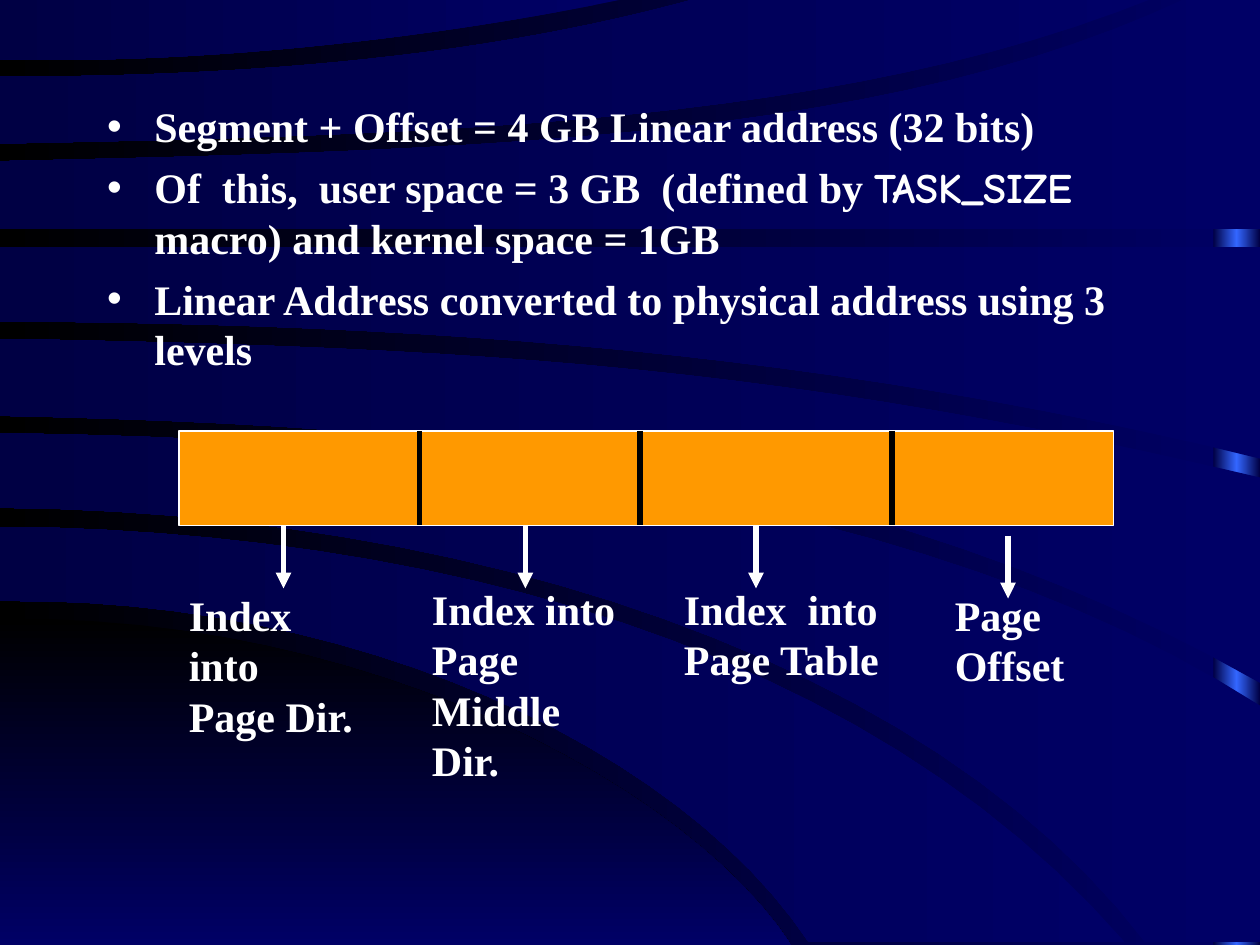
"""Builds the slide on splitting a linear address into page table indexes."""
import copy

from lxml import etree
from pptx import Presentation
from pptx import util as u
from pptx.dml.color import RGBColor
from pptx.enum import shapes, text
from pptx.oxml.ns import qn

WHITE, BLACK, ORANGE = "FFFFFF", "000000", "FF9900"
NAVY, DEEP_NAVY, GLOW = "000066", "000044", "3366FF"
SERIF, CODE_FONT = "Times New Roman", "Comic Neue"

CORNER = ([(0, 4.91), (2.76, 5.29), (4.95, 6.27), (6.28, 7.5)], [(0, 7.5)])
BANDS = [
    ([(0, 4.18), (3.35, 4.52), (6.44, 5.57), (8.93, 7.48)],
     [(0, 4.77), (2.68, 5.11), (4.92, 6.08), (6.42, 7.48)]),
    ([(0, 3.44), (3.43, 3.63), (6.93, 4.28), (10, 5.6)],
     [(0, 4.03), (3.6, 4.43), (6.78, 5.58), (9.09, 7.48)], (10, 7.48)),
    ([(0, 2.69), (3.49, 2.81), (6.62, 3.13), (10, 3.79)],
     [(0, 3.3), (3.51, 3.49), (6.83, 4.1), (10, 5.42)]),
    ([(0, 1.96), (10, 1.96)],
     [(0, 2.55), (3.32, 2.65), (6.62, 2.98), (10, 3.64)]),
    ([(0, 1.28), (3.72, 1.15), (6.84, 0.79), (9.43, -0.02)],
     [(0, 1.82), (10, 1.82)], (10, -0.02)),
    ([(0, 0.61), (1.97, 0.55), (3.83, 0.35), (5.56, -0.02)],
     [(0, 1.14), (3.41, 1.03), (6.48, 0.71), (9.17, -0.02)]),
    ([(0, -0.02)],
     [(0, 0.47), (1.73, 0.43), (3.46, 0.25), (5.01, -0.02)]),
]
STEPS = 24

BULLETS = [
    [("Segment + Offset = 4 GB Linear address (32 bits)", SERIF)],
    [("Of  this,  user space = 3 GB  (defined by ", SERIF), ("TASK_SIZE", CODE_FONT),
     (" macro) and kernel space = 1GB", SERIF)],
    [("Linear Address converted to physical address using 3 levels", SERIF)],
]
BAR_TOP, BAR_HEIGHT = 3.42, 0.75
BAR_BOTTOM = BAR_TOP + BAR_HEIGHT
DIVIDERS = [3.33, 5.08, 7.08]
ARROW_LENGTH = 0.5
FIELDS = [
    (2.25, BAR_BOTTOM, (1.4, 4.63, 1.65, 0.9), ["Index into", "Page Dir."]),
    (4.17, BAR_BOTTOM, (3.33, 4.58, 1.98, 1.3), ["Index into", "Page Middle", "Dir."]),
    (6, BAR_BOTTOM, (5.33, 4.58, 1.78, 0.9), ["Index  into", "Page Table"]),
    (8, 4.25, (7.48, 4.63, 1.07, 0.9), ["Page", "Offset"]),
]


def rgb(value):
    """Turn a hex string into a colour."""
    return RGBColor.from_string(value)


def inches(*lengths):
    """Turn numbers into lengths in inches."""
    return [u.Inches(length) for length in lengths]


def trace(edge):
    """Run a smooth polynomial curve through the points of an edge."""
    last = len(edge) - 1
    curve = []
    for step in range(STEPS + 1):
        t = last * step / STEPS
        x = y = 0
        for i, point in enumerate(edge):
            weight = 1
            for j in range(len(edge)):
                if j != i:
                    weight *= (t - j) / (i - j)
            x += weight * point[0]
            y += weight * point[1]
        curve.append((x, y))
    return curve


def fill_gradient(fill, *colors, angle=180):
    """Fill with evenly spaced colours along a counter-clockwise angle."""
    fill.gradient()
    fill.gradient_angle = angle
    first = fill.gradient_stops[0]._gs
    for _ in colors[2:]:
        first.addnext(copy.deepcopy(first))
    for index, (stop, color) in enumerate(zip(fill.gradient_stops, colors)):
        stop.color.rgb = rgb(color)
        stop.position = index / (len(colors) - 1)


def add_rectangle(slide, *box):
    """Add a rectangle without shadow or outline."""
    rectangle = slide.shapes.add_shape(shapes.MSO_SHAPE.RECTANGLE, *inches(*box))
    rectangle.shadow.inherit = False
    rectangle.line.fill.background()
    return rectangle


def add_band(slide, upper, lower, *corners, colors=(NAVY, DEEP_NAVY), angle=180):
    """Add a gradient band between two curved edges."""
    outline = trace(upper) + list(corners) + trace(lower)[::-1]
    start, *rest = [inches(*point) for point in outline]
    builder = slide.shapes.build_freeform(*start)
    builder.add_line_segments(rest, close=True)
    band = builder.convert_to_shape()
    band.shadow.inherit = False
    band.line.fill.background()
    fill_gradient(band.fill, *colors, angle=angle)


def add_vertical(slide, x, top, length, color, arrow=False):
    """Add a vertical line, with an arrowhead at its foot if asked."""
    line = slide.shapes.add_connector(
        shapes.MSO_CONNECTOR.STRAIGHT, *inches(x, top, x, top + length))
    line.line.color.rgb = rgb(color)
    line.line.width = u.Pt(3)
    if arrow:
        etree.SubElement(line.line._get_or_add_ln(), qn("a:tailEnd"), type="triangle")
    etree.SubElement(line.element.spPr, qn("a:effectLst"))


def add_text(paragraph, content, font=SERIF, size=24, color=WHITE, bold=True):
    """Add a formatted run to a paragraph."""
    run = paragraph.add_run()
    run.text = content
    run.font.name = font
    run.font.size = u.Pt(size)
    run.font.bold = bold
    run.font.color.rgb = rgb(color)


def paragraphs(frame, count):
    """Give the frame's first paragraph followed by new ones."""
    return [frame.paragraphs[0]] + [frame.add_paragraph() for _ in range(count - 1)]


def add_label(slide, box, lines):
    """Add a label that holds one paragraph for each line."""
    frame = slide.shapes.add_textbox(*inches(*box)).text_frame
    frame.word_wrap = False
    frame.auto_size = text.MSO_AUTO_SIZE.SHAPE_TO_FIT_TEXT
    for paragraph, line in zip(paragraphs(frame, len(lines)), lines):
        add_text(paragraph, line)


def add_backdrop(slide):
    """Paint the background with its curved bands."""
    fill_gradient(slide.background.fill, NAVY, BLACK)
    side = add_rectangle(slide, 9.63, 0, 0.37, 7.5)
    fill_gradient(side.fill, DEEP_NAVY, GLOW, DEEP_NAVY)
    add_band(slide, *CORNER, colors=(BLACK, NAVY), angle=270)
    for band in BANDS:
        add_band(slide, *band)


def place_bullets(slide):
    """Fill the body placeholder and bring it in front of the backdrop."""
    body = slide.placeholders[1]
    body.left, body.top, body.width, body.height = inches(0.75, 0.75, 8.5, 5.92)
    body.element.getparent().append(body.element)
    frame = body.text_frame
    frame.auto_size = text.MSO_AUTO_SIZE.NONE
    frame.vertical_anchor = text.MSO_ANCHOR.TOP
    for index, paragraph in enumerate(paragraphs(frame, len(BULLETS))):
        paragraph.space_before = u.Pt(6 if index else 0)
        for content, font in BULLETS[index]:
            add_text(paragraph, content, font=font)


def add_address_bar(slide):
    """Draw the linear address with its four labelled fields."""
    bar = add_rectangle(slide, 1.42, BAR_TOP, 7.42, BAR_HEIGHT)
    bar.fill.solid()
    bar.fill.fore_color.rgb = rgb(ORANGE)
    bar.line.color.rgb = rgb(WHITE)
    bar.line.width = u.Pt(0.75)
    for x in DIVIDERS:
        add_vertical(slide, x, BAR_TOP, BAR_HEIGHT, BLACK)
    for x, top, box, lines in FIELDS:
        add_vertical(slide, x, top, ARROW_LENGTH, WHITE, arrow=True)
        add_label(slide, box, lines)


def main():
    """Build and save the slide."""
    deck = Presentation()
    deck.slide_width, deck.slide_height = inches(10, 7.5)
    slide = deck.slides.add_slide(deck.slide_layouts[1])
    title = slide.shapes.title.element
    title.getparent().remove(title)
    add_backdrop(slide)
    place_bullets(slide)
    add_address_bar(slide)
    deck.save("out.pptx")


if __name__ == "__main__":
    main()
